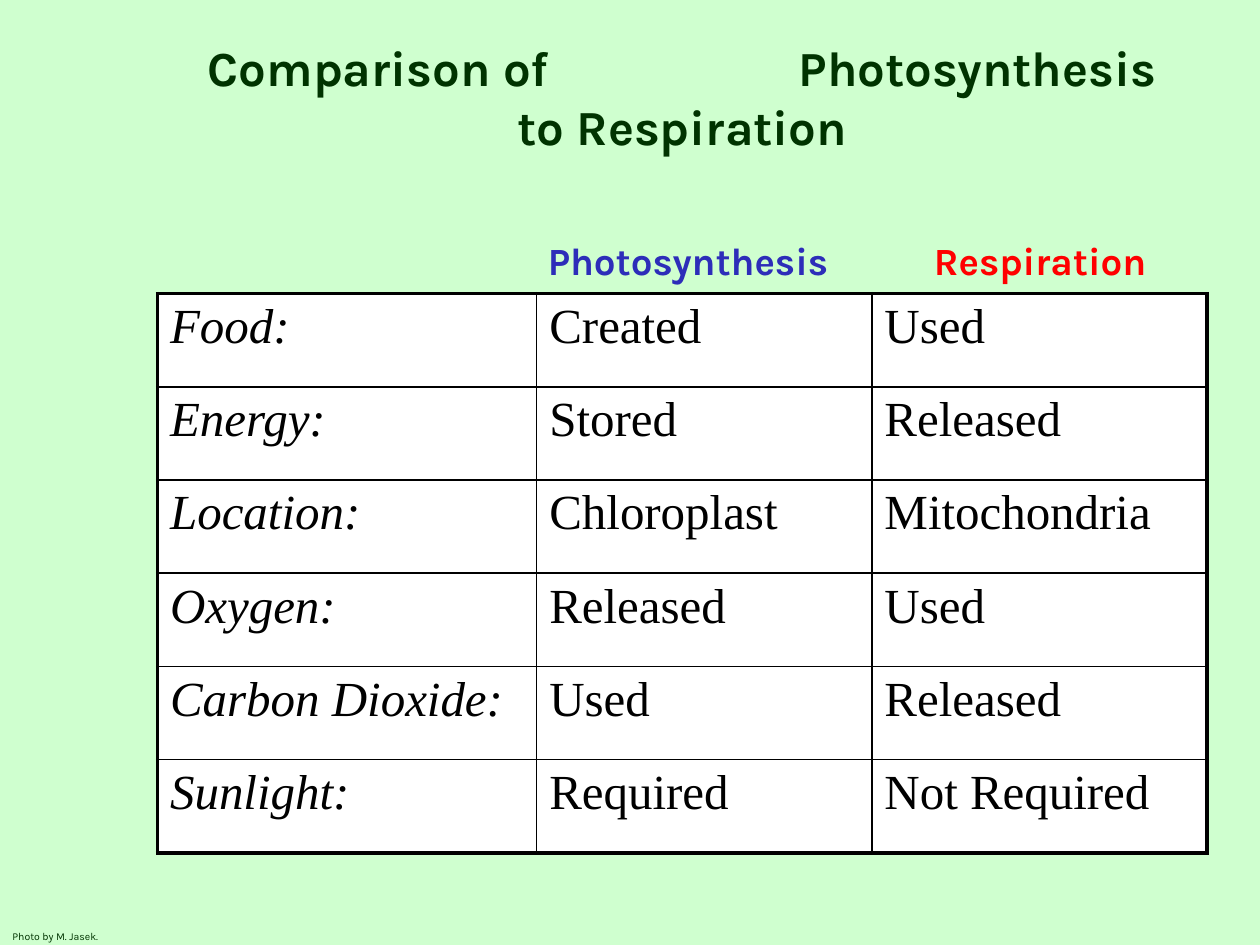
from dataclasses import dataclass

from lxml.etree import SubElement
from pptx import Presentation
from pptx.dml.color import RGBColor
from pptx.enum.text import MSO_ANCHOR, MSO_AUTO_SIZE, PP_ALIGN
from pptx.oxml.ns import qn
from pptx.util import Inches, Pt

MINT = RGBColor(0xCF, 0xFF, 0xCF)
FOREST = RGBColor(0x00, 0x33, 0x00)
BLUE = RGBColor(0x2D, 0x2D, 0xB9)
RED = RGBColor(0xFF, 0x00, 0x00)
BLACK = RGBColor(0x00, 0x00, 0x00)
WHITE = RGBColor(0xFF, 0xFF, 0xFF)

HEADING_FONT = "Karla"
TABLE_FONT = "Times New Roman"
OUTER_RULE, INNER_RULE = Pt(2.25), Pt(1)

TABLE_LEFT, TABLE_TOP = 1.25, 2.33
COLUMN_WIDTHS = (3.01, 2.66, 2.66)
ROW_HEIGHT = 0.74
TITLE_INSET = 0.15
TITLE_TAB = 4.69

COMPARISON = (
    ("Food:", "Created", "Used"),
    ("Energy:", "Stored", "Released"),
    ("Location:", "Chloroplast", "Mitochondria"),
    ("Oxygen:", "Released", "Used"),
    ("Carbon Dioxide:", "Used", "Released"),
    ("Sunlight:", "Required", "Not Required"),
)


@dataclass(frozen=True)
class Label:
    text: str
    left: float
    top: float
    width: float
    height: float
    size: float
    color: RGBColor
    bold: bool = True
    align: PP_ALIGN = PP_ALIGN.CENTER


LABELS = (
    Label("Photo by M. Jasek.", 0, 7.33, 1.08, 0.2, 6, FOREST, False, PP_ALIGN.LEFT),
    Label("Photosynthesis", 4, 1.83, 2.92, 0.47, 22, BLUE),
    Label("Respiration", 6.92, 1.83, 2.67, 0.47, 22, RED),
)


def style(paragraph, name: str, size: float, color: RGBColor,
          bold: bool = False, italic: bool = False) -> None:
    font = paragraph.font
    font.name, font.size = name, Pt(size)
    font.bold, font.italic = bold, italic
    font.color.rgb = color


def draw_title(slide) -> None:
    title = slide.shapes.title
    title.left, title.top = Inches(1.5), Inches(0.25)
    title.width, title.height = Inches(7.83), Inches(1.03)
    frame = title.text_frame
    frame.auto_size = MSO_AUTO_SIZE.NONE
    frame.word_wrap = True
    frame.vertical_anchor = MSO_ANCHOR.TOP
    frame.margin_left = frame.margin_right = Inches(TITLE_INSET)
    frame.text = "Comparison of\tPhotosynthesis\nto Respiration"
    opening, closing = frame.paragraphs
    opening.alignment, closing.alignment = PP_ALIGN.LEFT, PP_ALIGN.CENTER
    stops = SubElement(opening._p.get_or_add_pPr(), qn("a:tabLst"))
    SubElement(stops, qn("a:tab"), pos=str(Inches(TITLE_TAB)), algn="l")
    for paragraph in frame.paragraphs:
        paragraph.space_before = Pt(0)
        style(paragraph, HEADING_FONT, 28, FOREST, bold=True)


def draw_label(slide, label: Label) -> None:
    box = slide.shapes.add_textbox(Inches(label.left), Inches(label.top),
                                   Inches(label.width), Inches(label.height))
    frame = box.text_frame
    frame.word_wrap = True
    frame.text = label.text
    paragraph = frame.paragraphs[0]
    paragraph.alignment = label.align
    style(paragraph, HEADING_FONT, label.size, label.color, label.bold)


def rule_cell(cell, outer_sides: dict[str, bool]) -> None:
    properties = cell._tc.get_or_add_tcPr()
    for side, outer in outer_sides.items():
        width = OUTER_RULE if outer else INNER_RULE
        line = SubElement(properties, qn(f"a:ln{side}"), w=str(width))
        fill = SubElement(line, qn("a:solidFill"))
        SubElement(fill, qn("a:srgbClr"), val=str(BLACK))


def draw_comparison(slide) -> None:
    rows, columns = len(COMPARISON), len(COLUMN_WIDTHS)
    table = slide.shapes.add_table(
        rows, columns, Inches(TABLE_LEFT), Inches(TABLE_TOP),
        Inches(sum(COLUMN_WIDTHS)), Inches(rows * ROW_HEIGHT)).table
    table.first_row = table.horz_banding = False
    for column, width in zip(table.columns, COLUMN_WIDTHS):
        column.width = Inches(width)
    for r, entries in enumerate(COMPARISON):
        for c, entry in enumerate(entries):
            cell = table.cell(r, c)
            cell.text = entry
            style(cell.text_frame.paragraphs[0], TABLE_FONT, 28, BLACK, italic=c == 0)
            rule_cell(cell, {"L": c == 0, "R": c == columns - 1,
                             "T": r == 0, "B": r == rows - 1})
            cell.fill.solid()
            cell.fill.fore_color.rgb = WHITE


def main() -> None:
    deck = Presentation()
    deck.slide_width, deck.slide_height = Inches(10), Inches(7.5)
    slide = deck.slides.add_slide(deck.slide_layouts[5])
    slide.background.fill.solid()
    slide.background.fill.fore_color.rgb = MINT
    draw_title(slide)
    draw_comparison(slide)
    for label in LABELS:
        draw_label(slide, label)
    deck.save("out.pptx")


if __name__ == "__main__":
    main()
